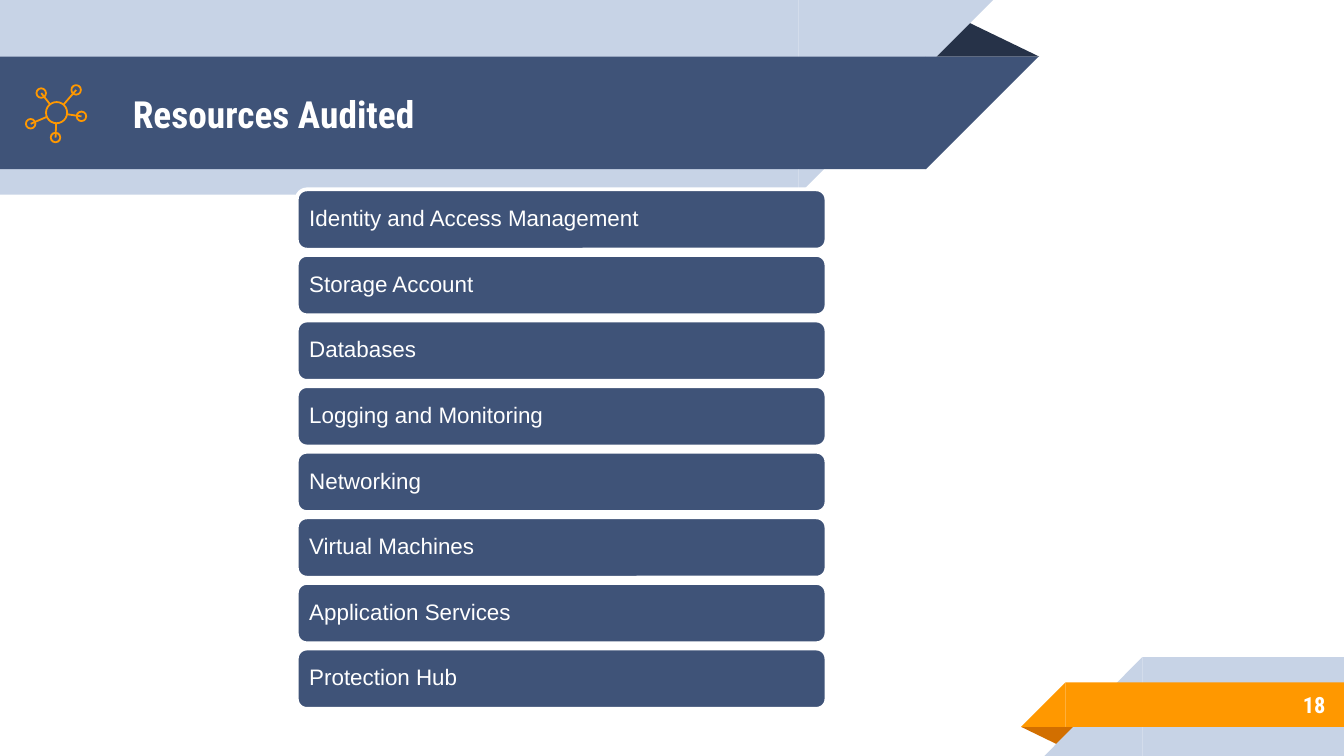
from math import hypot

from lxml.etree import SubElement
from pptx import Presentation
from pptx.dml.color import RGBColor
from pptx.enum.shapes import MSO_CONNECTOR, MSO_SHAPE
from pptx.enum.text import MSO_ANCHOR, MSO_AUTO_SIZE, PP_ALIGN
from pptx.oxml.ns import qn
from pptx.util import Cm, Pt

NAVY = RGBColor(0x3F, 0x53, 0x78)
DARK = RGBColor(0x26, 0x32, 0x48)
PALE = RGBColor(0xC7, 0xD3, 0xE6)
ORANGE = RGBColor(0xFF, 0x98, 0x00)
RUST = RGBColor(0xD2, 0x6F, 0x00)
WHITE = RGBColor(0xFF, 0xFF, 0xFF)

prs = Presentation()
prs.slide_width, prs.slide_height = Cm(25.4), Cm(14.29)
s = prs.slides.add_slide(prs.slide_layouts[5])


def add_shape(kind, x, y, w, h, fill=None):
    sp = s.shapes.add_shape(kind, Cm(x), Cm(y), Cm(w), Cm(h))
    sp.shadow.inherit = False
    sp.line.fill.background()
    if fill is None:
        sp.fill.background()
    else:
        sp.fill.solid()
        sp.fill.fore_color.rgb = fill
    return sp


def write(sp, text, size, font, bold, align, inset):
    tf = sp.text_frame
    tf.word_wrap = True
    tf.auto_size = MSO_AUTO_SIZE.NONE
    tf.vertical_anchor = MSO_ANCHOR.MIDDLE
    tf.margin_left = tf.margin_right = Cm(inset)
    tf.margin_top = tf.margin_bottom = Cm(inset)
    p = tf.paragraphs[0]
    p.alignment = align
    r = p.add_run()
    r.text = text
    r.font.size = Pt(size)
    r.font.name = font
    r.font.bold = bold
    r.font.color.rgb = WHITE
    return p


RECT, CORNER, FOLD = MSO_SHAPE.RECTANGLE, MSO_SHAPE.RIGHT_TRIANGLE, MSO_SHAPE.ISOSCELES_TRIANGLE
for kind, x, y, w, h, fill, angle in [
    (FOLD, 17.48, 0.36, 2.16, 0.71, DARK, 0),
    (RECT, 0, 0, 15.09, 3.68, PALE, 0),
    (CORNER, 15.09, 0, 3.68, 3.68, PALE, 180),
    (RECT, 0, 1.07, 17.5, 2.13, NAVY, 0),
    (CORNER, 17.5, 1.07, 2.13, 2.13, NAVY, 180),
    (FOLD, 19.3, 13.74, 1.09, 0.36, RUST, 180),
    (RECT, 21.59, 12.42, 3.81, 1.87, PALE, 0),
    (CORNER, 19.74, 12.42, 1.85, 1.87, PALE, 0),
    (RECT, 20.14, 12.9, 5.26, 0.84, ORANGE, 0),
    (CORNER, 19.3, 12.9, 0.84, 0.84, ORANGE, 0),
]:
    sp = add_shape(kind, x, y, w, h, fill)
    sp.rotation = angle
    if kind == FOLD:
        sp.adjustments[0] = 0.32
    if kind == CORNER:
        sp._element.spPr.find(qn("a:xfrm")).set("flipH", "1")

title = s.shapes.title
title.left, title.top, title.width, title.height = Cm(2.26), Cm(1.09), Cm(14.6), Cm(2.13)
write(title, "Resources Audited", 20, "Roboto Condensed", True, PP_ALIGN.LEFT, 0.25)
s.shapes._spTree.append(title._element)

number = s.shapes.add_textbox(Cm(21.16), Cm(12.88), Cm(4.14), Cm(0.89))
write(number, "18", 12, "Roboto Condensed", True, PP_ALIGN.RIGHT, 0.25)

resources = [
    "Identity and Access Management",
    "Storage Account",
    "Databases",
    "Logging and Monitoring",
    "Networking",
    "Virtual Machines",
    "Application Services",
    "Protection Hub",
]
for i, resource in enumerate(resources):
    sp = add_shape(MSO_SHAPE.ROUNDED_RECTANGLE, 5.61, 3.58 + 1.24 * i, 10.01, 1.14, NAVY)
    sp.line.color.rgb = WHITE
    sp.line.width = Pt(2)
    p = write(sp, resource, 12, "Arial", False, PP_ALIGN.LEFT, 0.13)
    p.line_spacing = 0.9
    sp.text_frame.margin_left = Cm(0.18)

hub_x, hub_y, hub_r, node_r = 1.07, 2.13, 0.2, 0.09
nodes = [(1.44, 1.7), (0.78, 1.76), (0.58, 2.34), (1.05, 2.6), (1.54, 2.2)]
for x, y, radius in [(x, y, node_r) for x, y in nodes] + [(hub_x, hub_y, hub_r)]:
    sp = add_shape(MSO_SHAPE.OVAL, x - radius, y - radius, 2 * radius, 2 * radius)
    sp.line.color.rgb = ORANGE
    sp.line.width = Pt(0.96)
for x, y in nodes:
    scale = hub_r / hypot(x - hub_x, y - hub_y)
    rim_x, rim_y = hub_x + (x - hub_x) * scale, hub_y + (y - hub_y) * scale
    spoke = s.shapes.add_connector(MSO_CONNECTOR.STRAIGHT, Cm(x), Cm(y), Cm(rim_x), Cm(rim_y))
    spoke.line.color.rgb = ORANGE
    spoke.line.width = Pt(0.96)
    SubElement(spoke._element.spPr, qn("a:effectLst"))

prs.save("out.pptx")
